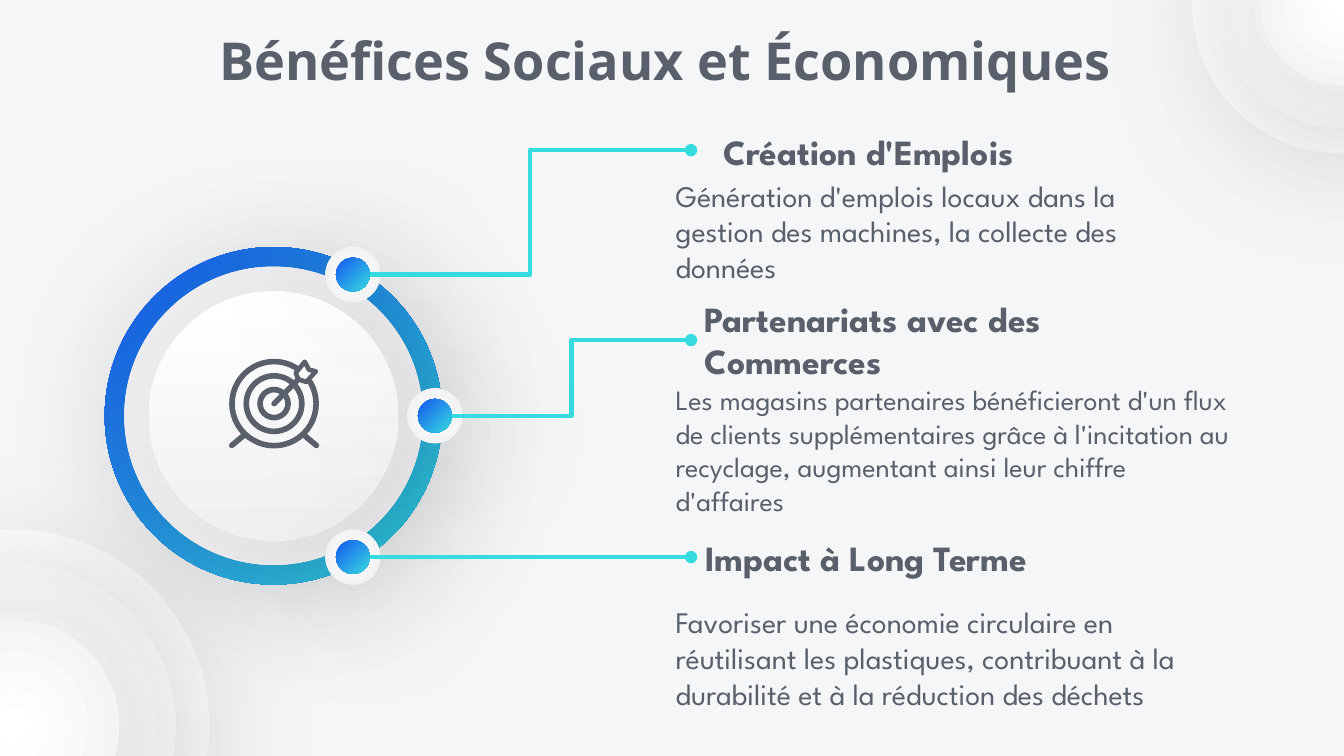
from lxml.etree import SubElement
from pptx import Presentation
from pptx.dml.color import RGBColor
from pptx.enum.shapes import MSO_CONNECTOR, MSO_SHAPE
from pptx.enum.text import MSO_ANCHOR, MSO_AUTO_SIZE, PP_ALIGN
from pptx.oxml import parse_xml
from pptx.oxml.ns import nsdecls, qn
from pptx.util import Cm, Pt

COLORS = {
    "background": "F5F6F8",
    "text": "595F6B",
    "white": "FFFFFF",
    "grey": "F0F0F3",
    "blue": "1658F1",
    "cyan": "36DBE0",
    "shadow": "000000",
}
RADIAL = (
    '<a:path path="circle"><a:fillToRect l="50000" t="50000" '
    'r="50000" b="50000"/></a:path>'
)
DIAGONAL = '<a:lin ang="2700000" scaled="0"/>'
VERTICAL = '<a:lin ang="5400000" scaled="0"/>'
SOFT = ("white", "grey", RADIAL)
RAISED = ("white", "grey", VERTICAL)
VIVID = ("blue", "cyan", DIAGONAL)

TITLE_FORMAT = {"size": Pt(28), "name": "Noto Sans", "bold": True}
HEADING_FORMAT = {"size": Pt(19), "name": "League Spartan", "bold": True}
BODY_FORMAT = {"size": Pt(16), "name": "League Spartan", "bold": False}
SMALL_FORMAT = {**BODY_FORMAT, "size": Pt(15)}

CORNERS = [
    (0.25, 13.72, (7.42, 6.15, 4.01)),
    (25.35, 0.08, (5.64, 4.67, 3.05)),
]
DIAL = (5.17, 7.86)
ICON = (5.18, 7.63)
NODES = [(6.67, 5.19, 2.84), (8.22, 7.86, 6.43), (6.67, 10.53, 10.53)]
CONNECTOR_END = 13.06

TITLE = "Bénéfices Sociaux et Économiques "
TEXTS = [
    ("Création d'Emplois", (13.06, 2.34, 8.33, 1.04), HEADING_FORMAT, 0.36),
    (
        "Génération d'emplois locaux dans la gestion des machines, "
        "la collecte des données",
        (12.52, 3.73, 10.59, 1.27), BODY_FORMAT, 0,
    ),
    ("Partenariats avec des Commerces", (13.06, 5.89, 10.06, 1.04), HEADING_FORMAT, 0),
    (
        "Les magasins partenaires bénéficieront d'un flux de clients "
        "supplémentaires grâce à l'incitation au recyclage, augmentant "
        "ainsi leur chiffre d'affaires",
        (12.52, 7.87, 11, 1.27), SMALL_FORMAT, 0,
    ),
    ("Impact à Long Terme", (13.08, 10.01, 8.33, 1.04), HEADING_FORMAT, 0),
    (
        "Favoriser une économie circulaire en réutilisant les plastiques, "
        "contribuant à la durabilité et à la réduction des déchets",
        (12.52, 11.79, 10.59, 1.27), BODY_FORMAT, 0,
    ),
]


def color(name):
    return RGBColor.from_string(COLORS[name])


def set_attributes(target, values):
    for name, value in values.items():
        setattr(target, name, value)


def write_text(shape, text, box, font_format, indent=0, alignment=PP_ALIGN.LEFT):
    set_attributes(shape, dict(zip(("left", "top", "width", "height"), map(Cm, box))))
    frame = shape.text_frame
    margins = ("margin_left", "margin_top", "margin_right", "margin_bottom")
    set_attributes(frame, {
        "word_wrap": True,
        "auto_size": MSO_AUTO_SIZE.NONE,
        "vertical_anchor": MSO_ANCHOR.MIDDLE,
        **dict.fromkeys(margins, Cm(0.25)),
    })
    paragraph = frame.paragraphs[0]
    set_attributes(paragraph, {
        "alignment": alignment, "space_before": Pt(0), "line_spacing": 1.0,
    })
    properties = paragraph._p.get_or_add_pPr()
    properties.set("marL", str(Cm(indent)))
    properties.set("indent", "0")
    SubElement(properties, qn("a:buNone"))
    run = paragraph.add_run()
    run.text = text
    set_attributes(run.font, font_format)
    run.font.color.rgb = color("text")


def add_shadow(shape):
    shape._element.spPr.append(parse_xml(
        f'<a:effectLst {nsdecls("a")}><a:outerShdw blurRad="{Pt(85)}" '
        f'dist="{Pt(11.2)}" dir="2700000" algn="tl" rotWithShape="0">'
        f'<a:srgbClr val="{COLORS["shadow"]}"><a:alpha val="15000"/></a:srgbClr>'
        "</a:outerShdw></a:effectLst>"
    ))


def add_circle(slide, x, y, diameter):
    corner = Cm(x - diameter / 2), Cm(y - diameter / 2)
    circle = slide.shapes.add_shape(MSO_SHAPE.OVAL, *corner, Cm(diameter), Cm(diameter))
    circle.fill.background()
    circle.line.fill.background()
    return circle


def add_disc(slide, x, y, diameter, gradient, shadow=True):
    disc = add_circle(slide, x, y, diameter)
    first, last, direction = gradient
    properties = disc._element.spPr
    properties.replace(properties.find(qn("a:noFill")), parse_xml(
        f'<a:gradFill {nsdecls("a")} rotWithShape="1"><a:gsLst>'
        f'<a:gs pos="0"><a:srgbClr val="{COLORS[first]}"/></a:gs>'
        f'<a:gs pos="100000"><a:srgbClr val="{COLORS[last]}"/></a:gs>'
        f"</a:gsLst>{direction}</a:gradFill>"
    ))
    if shadow:
        add_shadow(disc)
    else:
        disc.shadow.inherit = False


def add_corner(slide, x, y, diameters):
    outer, *inner = diameters
    base = add_circle(slide, x, y, outer)
    base.fill.solid()
    base.fill.fore_color.rgb = color("white")
    base.shadow.inherit = False
    for diameter in inner:
        add_disc(slide, x, y, diameter, SOFT)


def add_line(slide, kind, points, line_color, width):
    connector = slide.shapes.add_connector(kind, *map(Cm, points))
    connector.line.color.rgb = color(line_color)
    connector.line.width = Pt(width)
    SubElement(connector._element.spPr, qn("a:effectLst"))
    return connector


def add_link(slide, x, y, end_y):
    kind = MSO_CONNECTOR.STRAIGHT if y == end_y else MSO_CONNECTOR.ELBOW
    link = add_line(slide, kind, (x, y, CONNECTOR_END, end_y), "cyan", 2.25)
    SubElement(link.line._get_or_add_ln(), qn("a:tailEnd"), type="oval")


def add_target_icon(slide, x, y):
    for diameter in (1.59, 1.05, 0.53):
        ring = add_circle(slide, x, y, diameter)
        ring.line.color.rgb = color("text")
        ring.line.width = Pt(3)
        ring.shadow.inherit = False
    strokes = [(0, 0, 0.5, -0.5), (-0.56, 0.59, -0.8, 0.79), (0.56, 0.59, 0.8, 0.79)]
    for x1, y1, x2, y2 in strokes:
        points = (x + x1, y + y1, x + x2, y + y2)
        stroke = add_line(slide, MSO_CONNECTOR.STRAIGHT, points, "text", 3)
        stroke.line._get_or_add_ln().set("cap", "rnd")
    outline = [(0.41, -0.58), (0.58, -0.79), (0.66, -0.64),
               (0.79, -0.61), (0.61, -0.41), (0.46, -0.46)]
    start, *others = [(Cm(x + dx), Cm(y + dy)) for dx, dy in outline]
    builder = slide.shapes.build_freeform(*start)
    builder.add_line_segments(others, close=True)
    dart = builder.convert_to_shape()
    dart.fill.solid()
    dart.fill.fore_color.rgb = color("white")
    dart.line.color.rgb = color("text")
    dart.line.width = Pt(2.5)
    dart.shadow.inherit = False


def main():
    presentation = Presentation()
    presentation.slide_width, presentation.slide_height = Cm(25.4), Cm(14.29)
    slide = presentation.slides.add_slide(presentation.slide_layouts[4])
    slide.background.fill.solid()
    slide.background.fill.fore_color.rgb = color("background")

    title, *frames = slide.placeholders
    while len(frames) < len(TEXTS):
        frames.append(slide.shapes.add_textbox(0, 0, 0, 0))
    write_text(title, TITLE, (1.98, 0.61, 21.44, 1.04), TITLE_FORMAT,
               alignment=PP_ALIGN.CENTER)
    for frame, content in zip(frames, TEXTS):
        write_text(frame, *content)

    for corner in CORNERS:
        add_corner(slide, *corner)
    add_disc(slide, *DIAL, 6.38, VIVID, shadow=False)
    add_disc(slide, *DIAL, 5.64, SOFT)
    add_disc(slide, *DIAL, 4.72, RAISED)
    for x, y, end_y in NODES:
        add_disc(slide, x, y, 1.04, SOFT)
        add_disc(slide, x, y, 0.64, VIVID)
        add_link(slide, x + 0.32, y, end_y)
    add_target_icon(slide, *ICON)
    presentation.save("out.pptx")


if __name__ == "__main__":
    main()
